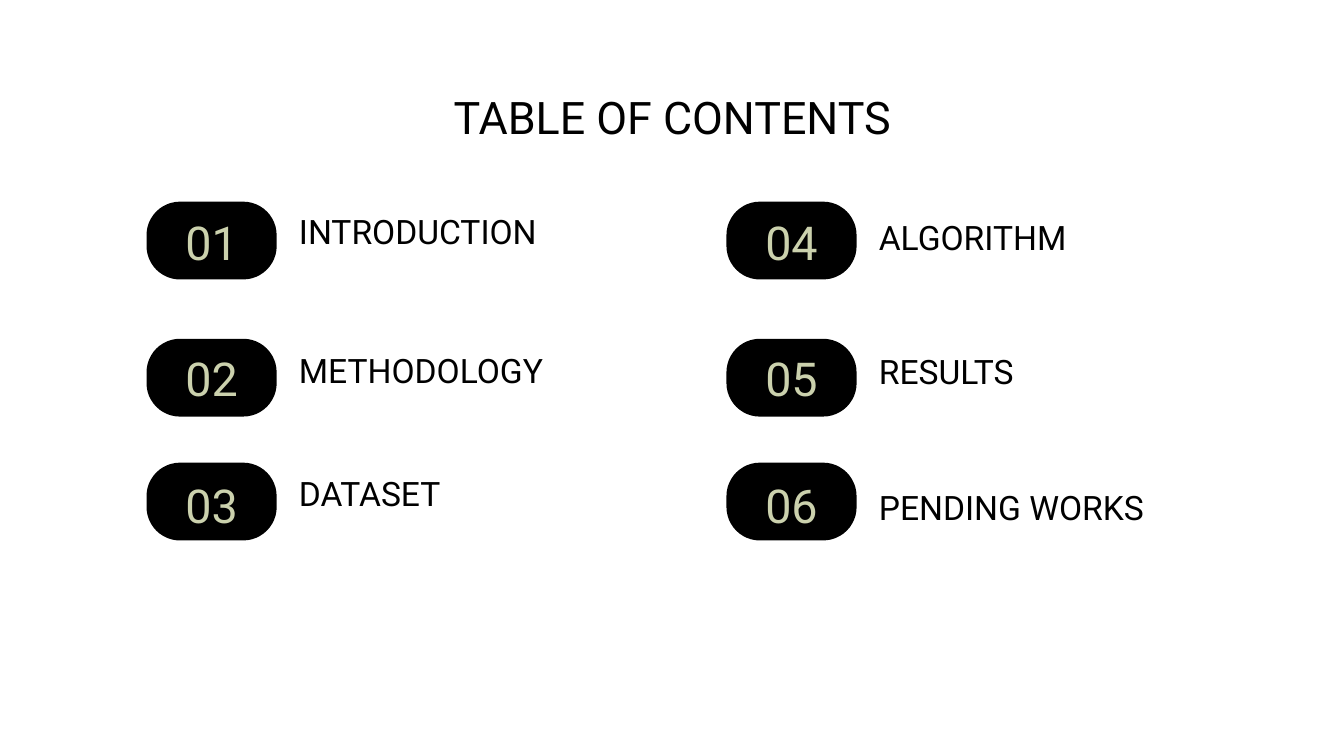
"""Build a table of contents slide with six numbered sections."""
from pptx import Presentation
from pptx import util as u
from pptx.dml.color import RGBColor
from pptx.enum import shapes, text

TITLE = "TABLE OF CONTENTS"
COLUMNS = [
    (2.77, [("01", "INTRODUCTION", 3.76, 7.29),
            ("02", "METHODOLOGY", 6.38, 7.29),
            ("03", "DATASET", 8.71, 6.27)]),
    (13.73, [("04", "ALGORITHM", 3.86, 7.29),
             ("05", "RESULTS", 6.4, 6.27),
             ("06", "PENDING WORKS", 8.97, 6.27)]),
]
ROWS = [(3.81, 4.06), (6.4, 6.63), (8.74, 9.02)]
BADGE_WIDTH, BADGE_HEIGHT = 2.46, 1.47
NUMBER_WIDTH, NUMBER_HEIGHT = 2.13, 1.02
LABEL_OFFSET, LABEL_HEIGHT = 2.63, 1.22
BLACK, SAGE = "000000", "CBD1AD"
FRAME = {
    "word_wrap": True,
    "auto_size": text.MSO_AUTO_SIZE.NONE,
    "vertical_anchor": text.MSO_ANCHOR.MIDDLE,
    **{f"margin_{side}": u.Cm(0.25) for side in ("left", "right", "top", "bottom")},
}


def color(hex_value):
    return RGBColor.from_string(hex_value)


def write(box, words, size, ink, align):
    frame = box.text_frame
    for name, value in FRAME.items():
        setattr(frame, name, value)
    para = frame.paragraphs[0]
    para.alignment = align
    span = para.add_run()
    span.text = words
    for name, value in {"name": "Roboto", "size": u.Pt(size)}.items():
        setattr(span.font, name, value)
    span.font.color.rgb = color(ink)


def add_text(page, area, *style):
    write(page.shapes.add_textbox(*map(u.Cm, area)), *style)


def add_badge(page, left, top):
    badge = page.shapes.add_shape(
        shapes.MSO_SHAPE.ROUNDED_RECTANGLE,
        *map(u.Cm, (left, top, BADGE_WIDTH, BADGE_HEIGHT)))
    badge.adjustments[0] = 0.43
    badge.shadow.inherit = False
    badge.fill.solid()
    badge.fill.fore_color.rgb = color(BLACK)
    badge.line.fill.background()


def main():
    deck = Presentation()
    deck.slide_width, deck.slide_height = u.Cm(25.4), u.Cm(14.28)
    page = deck.slides.add_slide(deck.slide_layouts[5])
    title = page.shapes.title
    area = {"left": 2.01, "top": 1.47, "width": 21.39, "height": 1.47}
    for name, value in area.items():
        setattr(title, name, u.Cm(value))
    center, left_align = text.PP_ALIGN.CENTER, text.PP_ALIGN.LEFT
    write(title, TITLE, 24, BLACK, center)

    inset = (BADGE_WIDTH - NUMBER_WIDTH) / 2
    for left, sections in COLUMNS:
        for (badge_top, number_top), section in zip(ROWS, sections):
            number, label, label_top, label_width = section
            add_badge(page, left, badge_top)
            add_text(page, (left + inset, number_top, NUMBER_WIDTH, NUMBER_HEIGHT),
                     number, 25, SAGE, center)
            add_text(page, (left + LABEL_OFFSET, label_top, label_width, LABEL_HEIGHT),
                     label, 18, BLACK, left_align)
    deck.save("out.pptx")


if __name__ == "__main__":
    main()
